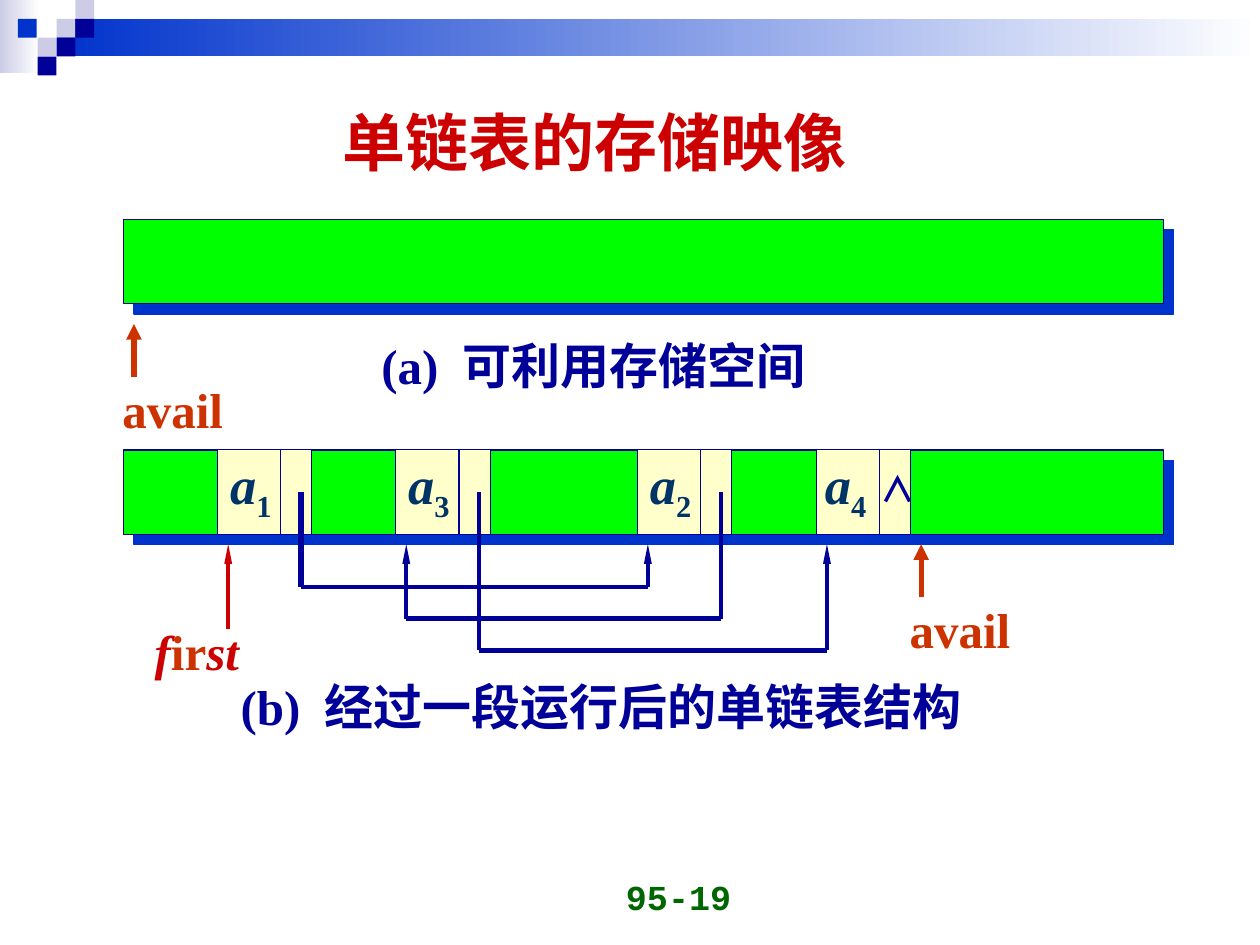
import lxml.etree
import pptx
import pptx.dml.color
import pptx.enum.shapes
import pptx.enum.text
import pptx.oxml.ns
import pptx.util

Cm = pptx.util.Cm
Pt = pptx.util.Pt
RGB = pptx.dml.color.RGBColor
Align = pptx.enum.text.PP_ALIGN
Anchor = pptx.enum.text.MSO_ANCHOR
RECT = pptx.enum.shapes.MSO_SHAPE.RECTANGLE
STRAIGHT = pptx.enum.shapes.MSO_CONNECTOR.STRAIGHT

NAVY = RGB(0x00, 0x00, 0x99)
BLUE = RGB(0x00, 0x33, 0xCC)
PALE = RGB(0xCC, 0xCC, 0xE6)
WHITE = RGB(0xFF, 0xFF, 0xFF)
RED = RGB(0xCC, 0x00, 0x00)
RUST = RGB(0xCC, 0x33, 0x00)
LIME = RGB(0x00, 0xFF, 0x00)
CREAM = RGB(0xFF, 0xFF, 0xCC)
TEAL = RGB(0x00, 0x33, 0x66)
GREEN = RGB(0x00, 0x66, 0x00)

SERIF = "Times New Roman"
HAN = "Noto Sans CJK SC"
MONO = "Courier New"


def add_tag(parent, name, **attrs):
    """Append a DrawingML element."""
    return lxml.etree.SubElement(parent, pptx.oxml.ns.qn("a:" + name), attrs)


def add_rect(slide, x, y, w, h, fill, edge=None):
    """Draw a rectangle with a plain fill, or a gradient for a pair."""
    rect = slide.shapes.add_shape(RECT, Cm(x), Cm(y), Cm(w), Cm(h))
    rect.shadow.inherit = False
    if isinstance(fill, RGB):
        rect.fill.solid()
        rect.fill.fore_color.rgb = fill
    else:
        rect.fill.gradient()
        rect.fill.gradient_angle = 0
        for stop, color, place in zip(rect.fill.gradient_stops, fill, (0, 1)):
            stop.color.rgb = color
            stop.position = place
    if edge:
        rect.line.color.rgb = NAVY
        rect.line.width = Pt(edge)
    else:
        rect.line.fill.background()
    return rect


def add_line(slide, x1, y1, x2, y2, width=2.25, color=NAVY, head=None):
    """Draw a line; head gives the width and length of its arrowhead."""
    line = slide.shapes.add_connector(STRAIGHT, Cm(x1), Cm(y1), Cm(x2), Cm(y2))
    line.line.color.rgb = color
    line.line.width = Pt(width)
    if head:
        add_tag(line.line._get_or_add_ln(), "tailEnd", type="triangle", w=head[0], len=head[1])
    add_tag(line._element.spPr, "effectLst")


def add_text(slide, x, y, w, h, parts, size, color, font=SERIF, wrap=True):
    """Place bold text made of (wording, changes) parts."""
    box = slide.shapes.add_textbox(Cm(x), Cm(y), Cm(w), Cm(h))
    frame = box.text_frame
    frame.word_wrap = wrap
    for words, change in parts:
        run = frame.paragraphs[0].add_run()
        run.text = words
        run.font.size = Pt(size)
        run.font.bold = True
        run.font.italic = change.get("slant", False)
        run.font.color.rgb = change.get("color", color)
        run.font.name = change.get("font", font)
        add_tag(run.font._element, "ea", typeface=HAN)
        for key in ("baseline", "spc"):
            if key in change:
                run.font._element.set(key, change[key])
    return frame


def add_label(slide, x, y, w, mark, words):
    """Write a caption with a wide gap after its mark."""
    parts = [(mark, {}), (" ", {"spc": "700"}), (words, {"font": HAN})]
    add_text(slide, x, y, w, 1.45, parts, 28, NAVY)


def add_bar(slide, x, y, w, h):
    """Draw a memory bar with a hard shadow."""
    bar = add_rect(slide, x, y, w, h, LIME, 0.75)
    effects = bar._element.spPr.find(pptx.oxml.ns.qn("a:effectLst"))
    shade = add_tag(effects, "outerShdw", blurRad="0", dist=str(Pt(8.5)),
                    dir="2700000", algn="ctr", rotWithShape="0")
    add_tag(shade, "srgbClr", val=str(BLUE))


def add_avail(slide, x, tip, tail):
    """Draw the avail pointer with its name below."""
    add_line(slide, x, tail, x, tip, 3, RUST, ("med", "med"))
    add_text(slide, x - 0.48, tail - 0.08, 2.54, 1.45, [("avail", {})], 28, RUST, wrap=False)


def add_node(slide, x, y, h, index):
    """Draw a list node with its data and link fields."""
    add_rect(slide, x, y, 1.9, h, CREAM, 0.5)
    add_line(slide, x + 1.27, y, x + 1.27, y + h, 0.75)
    parts = [("a", {"slant": True}), (index, {"baseline": "-25000"})]
    left = x - 0.08 if index == "4" else x
    add_text(slide, left, y - 0.08, 1.6, 1.7, parts, 30, TEAL, wrap=False)


def add_link(slide, start, end, y, depth, drop, run):
    """Route a link from one node's pointer field up to another node."""
    x1, x2 = start + 1.68, end + 0.21
    add_line(slide, x1, y + 0.85, x1, y + depth, drop)
    add_line(slide, x1, y + depth, x2, y + depth, run)
    add_line(slide, x2, y + depth, x2, y + 1.9, head=("sm", "lg"))


def draw_head(slide, x, y, w):
    """Draw the banner and its checkered corner."""
    cell = 0.38
    add_rect(slide, x, y, 0.79, 1.47, (PALE, WHITE))
    add_rect(slide, x + 1.14, y + cell, w - 1.14, 0.76, (BLUE, WHITE))
    add_rect(slide, x + 0.36, y + cell, cell, cell, BLUE)
    for col, row, color in ((1, 1, PALE), (2, 0, PALE), (2, 1, NAVY),
                            (0, 2, PALE), (1, 2, NAVY), (0, 3, NAVY)):
        add_rect(slide, x + 0.76 + col * cell, y + row * cell, cell, cell, color)


def draw_free(slide, x, y, w, h):
    """Draw the free storage."""
    add_bar(slide, x, y, w, h)
    add_avail(slide, x + 0.21, y + 2.11, y + 3.18)
    add_label(slide, x + 4.95, y + 2.21, 11.02, "(a)", "可利用存储空间")


def draw_list(slide, x, y, w, h):
    """Draw the storage holding the linked list."""
    add_bar(slide, x, y, w, h)
    spots = {"1": x + 1.9, "3": x + 5.49, "2": x + 10.36, "4": x + 13.97}
    for index, left in spots.items():
        add_node(slide, left, y, h, index)
    last = spots["4"]
    add_text(slide, last + 1.04, y + 0.23, 1.07, 1.12, [("∧", {})], 20, NAVY, HAN, False)
    first = spots["1"] + 0.21
    add_line(slide, first, y + 3.61, first, y + 1.9, color=RED, head=("sm", "lg"))
    parts = [("f", {"slant": True}), ("ir", {"color": RUST}), ("st", {"slant": True})]
    add_text(slide, first - 1.73, y + 3.33, 2.21, 1.45, parts, 28, RED, wrap=False)
    add_avail(slide, last + 2.11, y + 1.9, y + 2.97)
    for start, end, depth, drop, run in (("1", "2", 2.77, 3, 2.25),
                                         ("2", "3", 3.4, 2.25, 3),
                                         ("3", "4", 4.04, 2.25, 3)):
        add_link(slide, spots[start], spots[end], y, depth, drop, run)
    add_label(slide, x + 2.11, y + 4.44, 18.06, "(b)", "经过一段运行后的单链表结构")


def draw_title(slide, x, y, w, h):
    """Write the slide title."""
    frame = add_text(slide, x, y, w, h, [("单链表的存储映像", {})], 36, RED)
    frame.margin_left = frame.margin_right = Cm(0.3)
    frame.margin_top = frame.margin_bottom = Cm(0.15)


def draw_page(slide, x, y, w, h):
    """Write the page number."""
    frame = add_text(slide, x, y, w, h, [("95-19", {})], 20, GREEN, MONO)
    frame.vertical_anchor = Anchor.BOTTOM
    frame.paragraphs[0].alignment = Align.RIGHT


def main():
    """Build the slide."""
    deck = pptx.Presentation()
    deck.slide_width, deck.slide_height = Cm(25.4), Cm(19.05)
    slide = deck.slides.add_slide(deck.slide_layouts[6])
    draw_head(slide, 0, 0, 25.4)
    draw_page(slide, 9.07, 17.35, 5.92, 1.27)
    draw_title(slide, 6.6, 1.93, 11.89, 1.83)
    draw_free(slide, 2.49, 4.42, 20.96, 1.7)
    draw_list(slide, 2.49, 9.07, 20.96, 1.7)
    deck.save("out.pptx")


if __name__ == "__main__":
    main()
